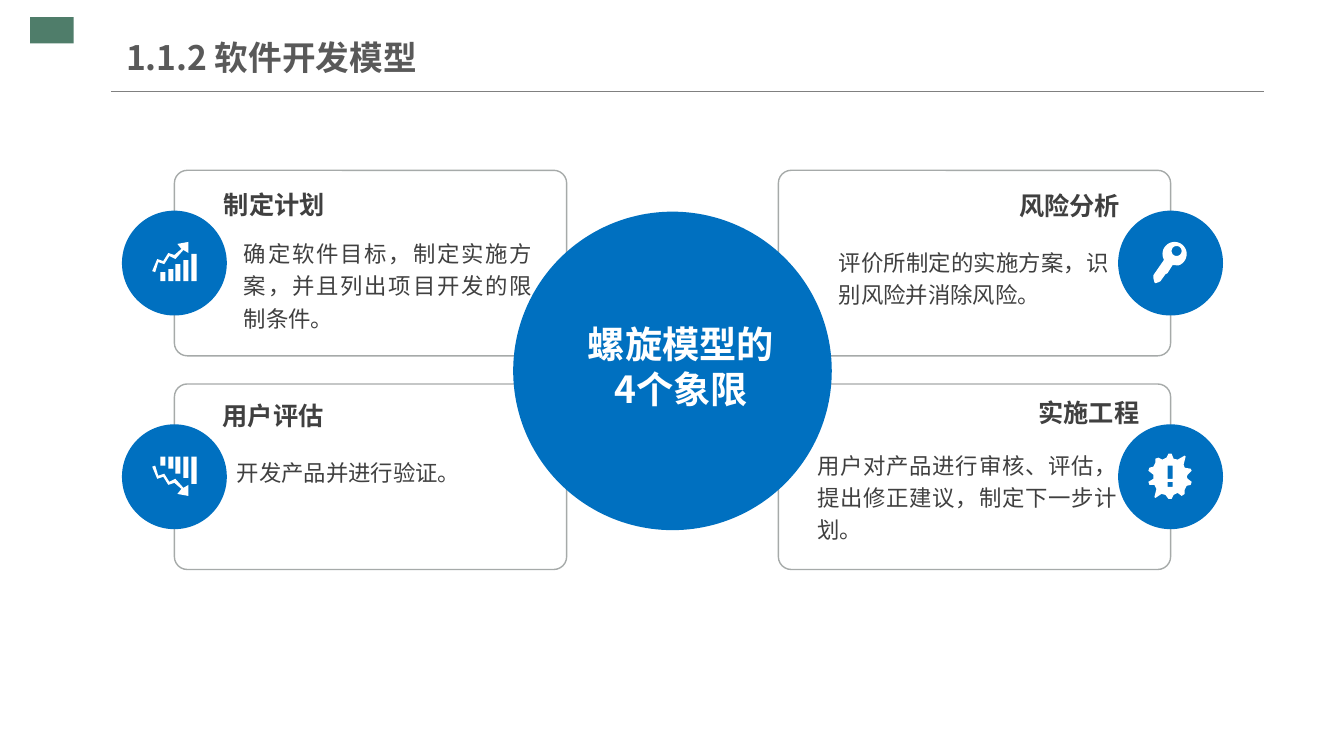
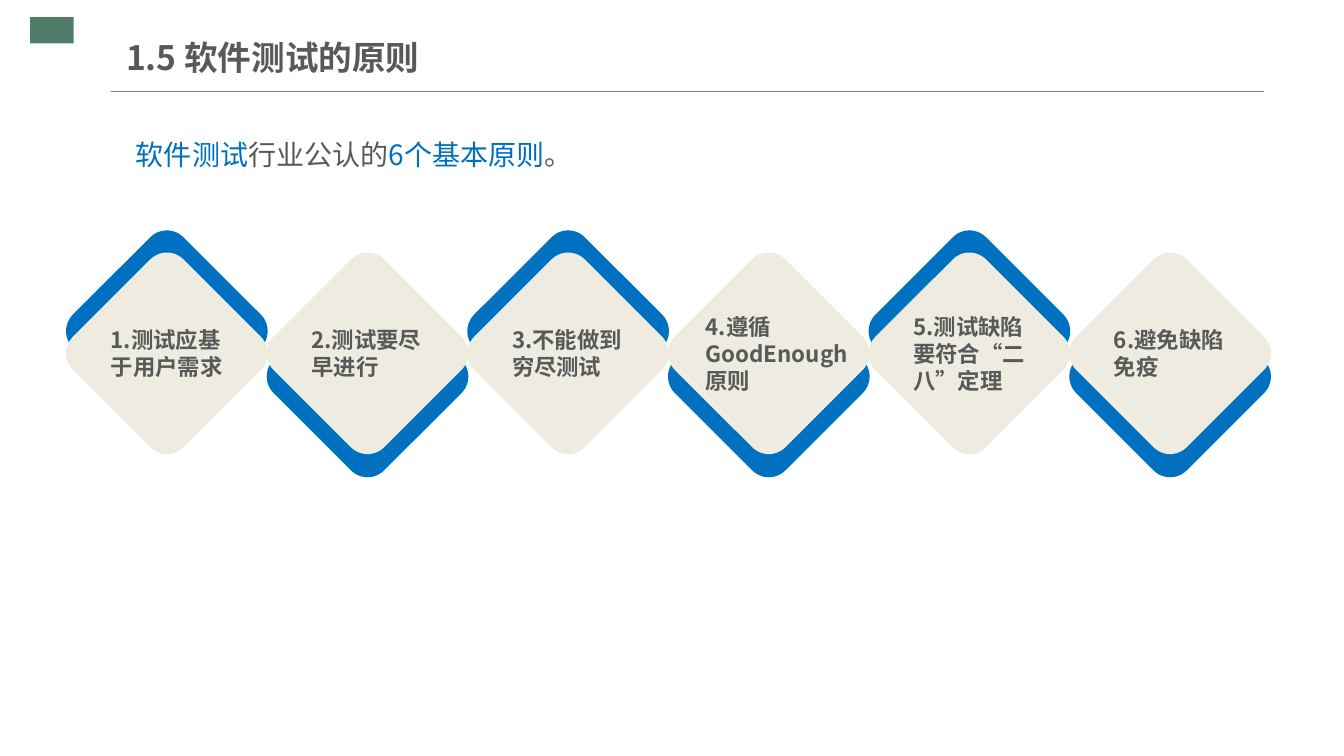
import math

import lxml.etree
import pptx
import pptx.dml.color
import pptx.enum.shapes
import pptx.enum.text
import pptx.oxml.ns
import pptx.util

Inches = pptx.util.Inches
Pt = pptx.util.Pt
PRESET = pptx.enum.shapes.MSO_SHAPE
ALIGN = pptx.enum.text.PP_ALIGN
ANCHOR = pptx.enum.text.MSO_ANCHOR
qn = pptx.oxml.ns.qn

FONT = "Noto Sans CJK SC"
BLUE, CREAM, WHITE = "0070C0", "EEECE1", "FFFFFF"
GREEN, RULE_GRAY, CARD_GRAY = "4F7D6A", "808080", "A6AAA9"
DARK, TEXT_GRAY = "404040", "595959"


def paint(fill, color):
    fill.solid()
    fill.fore_color.rgb = pptx.dml.color.RGBColor.from_string(color)


def write(frame, spans, style):
    frame.word_wrap = True
    para = frame.paragraphs[0]
    for target, values in ((frame, style["frame"]), (para, style["para"])):
        for name, value in values.items():
            setattr(target, name, value)
    for text, color in spans:
        span = para.add_run()
        span.text = text
        for name, value in style["font"].items():
            setattr(span.font, name, value)
        span.font.name = FONT
        paint(span.font.fill, color)
        lxml.etree.SubElement(span.font._element, qn("a:ea"), typeface=FONT)


FLUSH = dict.fromkeys(["margin_left", "margin_top", "margin_right", "margin_bottom"], 0)
MIDDLE = {"vertical_anchor": ANCHOR.MIDDLE}
TITLE = {
    "frame": {},
    "para": {"alignment": ALIGN.LEFT},
    "font": {"size": Pt(24), "bold": True},
}
INTRO = {
    "frame": {},
    "para": {"alignment": ALIGN.JUSTIFY, "line_spacing": 1.5},
    "font": {"size": Pt(20)},
}
HEADING_LEFT = {
    "frame": {**FLUSH, **MIDDLE},
    "para": {"line_spacing": 1.2},
    "font": {"size": Pt(18), "bold": True},
}
HEADING_RIGHT = {**HEADING_LEFT, "para": {"alignment": ALIGN.RIGHT}}
DETAIL = {
    "frame": FLUSH,
    "para": {"alignment": ALIGN.JUSTIFY, "line_spacing": 1.2},
    "font": {"size": Pt(16)},
}
HUB = {
    "frame": {**FLUSH, **MIDDLE},
    "para": {"alignment": ALIGN.CENTER},
    "font": {"size": Pt(26.6), "bold": True},
}
PRINCIPLE = {"frame": MIDDLE, "para": {}, "font": {"size": Pt(16), "bold": True}}

model_shapes = [
    (PRESET.ROUNDED_RECTANGLE, (left, top, 3.89, 1.84), None, 0.069, 0)
    for left in (1.73, 7.72)
    for top in (1.69, 3.81)
]
model_shapes.append((PRESET.OVAL, (5.09, 2.1, 3.16, 3.16), BLUE, None, 0))
model_shapes += [
    (PRESET.OVAL, (left, top, 1.04, 1.04), BLUE, None, 0)
    for left in (1.21, 11.09)
    for top in (2.09, 4.21)
]
model_texts = [
    ((2.42, 2.33, 2.86, 0.98), [("确定软件目标，制定实施方案，并且列出项目开发的限制条件。", DARK)], DETAIL),
    ((2.22, 1.78, 2.04, 0.44), [("制定计划", DARK)], HEADING_LEFT),
    ((2.35, 4.5, 2.93, 0.92), [("开发产品并进行验证。", DARK)], DETAIL),
    ((2.21, 3.87, 2.04, 0.44), [("用户评估", DARK)], HEADING_LEFT),
    ((8.32, 2.42, 2.68, 0.98), [("评价所制定的实施方案，识别风险并消除风险。", DARK)], DETAIL),
    ((9.07, 1.82, 2.04, 0.44), [("风险分析", DARK)], HEADING_RIGHT),
    ((8.11, 4.43, 2.97, 0.83), [("用户对产品进行审核、评估，提出修正建议，制定下一步计划。", DARK)], DETAIL),
    ((9.26, 3.87, 2.04, 0.44), [("实施工程", DARK)], HEADING_RIGHT),
    ((5.83, 3.2, 1.85, 0.87), [("螺旋模型的4个象限", WHITE)], HUB),
]

rising_chart = [[
    (1.68, 2.54), (1.74, 2.57), (1.82, 2.48), (1.87, 2.51), (1.87, 2.4),
    (1.76, 2.42), (1.8, 2.47), (1.73, 2.53), (1.67, 2.51), (1.62, 2.59),
    (1.56, 2.57), (1.51, 2.69), (1.54, 2.7), (1.57, 2.6), (1.63, 2.62),
]]
for left, top in zip((1.59, 1.67, 1.74, 1.82, 1.9), (2.7, 2.67, 2.62, 2.58, 2.52)):
    right = left + 0.05
    rising_chart.append([(left, top), (right, top), (right, 2.79), (left, 2.79)])
falling_chart = [[(x, 7.32 - y) for x, y in contour] for contour in rising_chart]

key_bow = [
    (11.65 + 0.12 * math.cos(math.radians(angle)), 2.52 + 0.12 * math.sin(math.radians(angle)))
    for angle in range(71, -210, -10)
]
key_blade = [
    (11.44, 2.73), (11.44, 2.76), (11.45, 2.8), (11.46, 2.81), (11.49, 2.8),
    (11.51, 2.79), (11.56, 2.72), (11.58, 2.71), (11.63, 2.63),
]
key_hole = [
    (11.67 + 0.05 * math.cos(math.radians(angle)), 2.49 + 0.05 * math.sin(math.radians(angle)))
    for angle in range(0, 360, 20)
]
key = [key_bow + key_blade, key_hole]

badge = [
    [
        (11.82, 4.78), (11.78, 4.75), (11.77, 4.73), (11.78, 4.71), (11.82, 4.67),
        (11.81, 4.65), (11.75, 4.64), (11.74, 4.61), (11.76, 4.53), (11.75, 4.52),
        (11.68, 4.56), (11.64, 4.55), (11.62, 4.5), (11.59, 4.5), (11.57, 4.54),
        (11.53, 4.56), (11.49, 4.54), (11.46, 4.55), (11.46, 4.59), (11.44, 4.63),
        (11.4, 4.64), (11.39, 4.67), (11.44, 4.71), (11.44, 4.75), (11.39, 4.78),
        (11.4, 4.81), (11.45, 4.81), (11.47, 4.85), (11.45, 4.93), (11.46, 4.94),
        (11.52, 4.9), (11.56, 4.91), (11.59, 4.95), (11.62, 4.95), (11.64, 4.91),
        (11.68, 4.89), (11.72, 4.92), (11.75, 4.9), (11.75, 4.86), (11.77, 4.82),
        (11.81, 4.81),
    ],
    [(11.58, 4.62), (11.58, 4.75), (11.63, 4.75), (11.63, 4.62)],
    [(11.58, 4.78), (11.58, 4.83), (11.63, 4.83), (11.63, 4.78)],
]

principle_shapes = []
principle_texts = [(
    (1.25, 1.15, 10.99, 0.73),
    [("软件测试", BLUE), ("行业公认的", TEXT_GRAY), ("6个基本原则", BLUE), ("。", TEXT_GRAY)],
    INTRO,
)]
principles = [
    ("1.测试应基于用户需求", 0.12, 1.32),
    ("2.测试要尽早进行", 0.12, 1.32),
    ("3.不能做到穷尽测试", 0.12, 1.32),
    ("4.遵循GoodEnough原则", 0.05, 1.7),
    ("5.测试缺陷要符合“二八”定理", 0.12, 1.32),
    ("6.避免缺陷免疫", 0.12, 1.32),
]
for index, (text, indent, width) in enumerate(principles):
    left = 0.88 + 1.99 * index
    back_top, rotation = ((2.51, 315), (2.96, 135))[index % 2]
    for top, color in ((back_top, BLUE), (2.73, CREAM)):
        principle_shapes.append(
            (PRESET.ROUNDED_RECTANGLE, (left, top, 1.55, 1.55), color, 0.15, rotation)
        )
    principle_texts.append(((left + indent, 3.36, width, 0.29), [(text, TEXT_GRAY)], PRINCIPLE))

deck = pptx.Presentation()
deck.slide_width, deck.slide_height = Inches(13.33), Inches(7.5)
layout = deck.slide_layouts[5]
layout_title = layout.placeholders[0]
title_place = {"left": 1.25, "top": 0.29, "width": 5.28, "height": 0.55}
for name, value in title_place.items():
    setattr(layout_title, name, Inches(value))
title_frame = {
    **FLUSH,
    **MIDDLE,
    "margin_top": Inches(0.07),
    "margin_bottom": Inches(0.07),
    "auto_size": pptx.enum.text.MSO_AUTO_SIZE.NONE,
}
for name, value in title_frame.items():
    setattr(layout_title.text_frame, name, value)

pages = [
    ("1.1.2 软件开发模型", model_shapes, [rising_chart, falling_chart, key, badge], model_texts),
    ("1.5 软件测试的原则", principle_shapes, [], principle_texts),
]
for title, shapes, icons, texts in pages:
    page = deck.slides.add_slide(layout)
    write(page.shapes.title.text_frame, [(title, TEXT_GRAY)], TITLE)
    for preset, place, color, corner, rotation in shapes:
        shape = page.shapes.add_shape(preset, *map(Inches, place))
        shape.shadow.inherit = False
        shape.rotation = rotation
        if corner:
            shape.adjustments[0] = corner
        if color:
            paint(shape.fill, color)
            shape.line.fill.background()
        else:
            shape.fill.background()
            paint(shape.line.fill, CARD_GRAY)
            shape.line.width = Pt(1)
    for contours in icons:
        outlines = [[(Inches(x), Inches(y)) for x, y in contour] for contour in contours]
        builder = page.shapes.build_freeform(*outlines[0][0])
        builder.add_line_segments(outlines[0][1:], close=True)
        for outline in outlines[1:]:
            builder.move_to(*outline[0])
            builder.add_line_segments(outline[1:], close=True)
        icon = builder.convert_to_shape()
        icon.shadow.inherit = False
        paint(icon.fill, WHITE)
        icon.line.fill.background()
    for place, spans, style in texts:
        box = page.shapes.add_textbox(*map(Inches, place))
        write(box.text_frame, spans, style)

band = page.shapes.add_shape(PRESET.RECTANGLE, *map(Inches, (0.3, 0.17, 0.43, 0.26)))
band.shadow.inherit = False
paint(band.fill, GREEN)
band.line.fill.background()
rule = page.shapes.add_connector(
    pptx.enum.shapes.MSO_CONNECTOR.STRAIGHT, *map(Inches, (1.1, 0.91, 12.54, 0.91))
)
paint(rule.line.fill, RULE_GRAY)
rule.line.width = Pt(0.75)
lxml.etree.SubElement(rule.element.spPr, qn("a:effectLst"))
for shared in (rule, band):
    layout.shapes.element.insert(2, shared.element)

deck.save("out.pptx")
